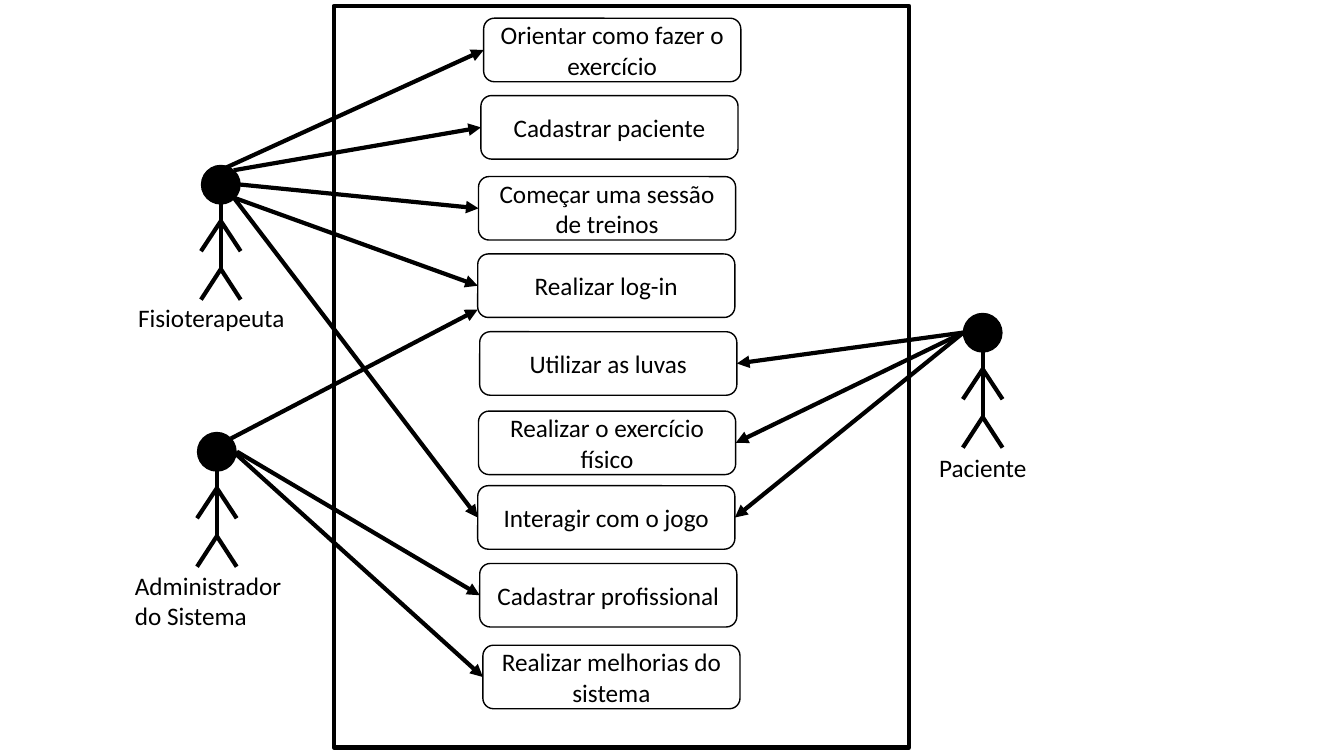
from lxml.etree import SubElement
from pptx import Presentation
from pptx.dml.color import RGBColor
from pptx.enum.shapes import MSO_CONNECTOR as Link, MSO_SHAPE as Preset
from pptx.enum.text import MSO_ANCHOR as Anchor, PP_ALIGN as Align
from pptx.oxml.ns import qn
from pptx.util import Cm, Pt

BLACK, WHITE = "000000", "FFFFFF"
FRAME = (8.41, 0.15, 14.5, 18.69)
CASE_SIZE = (6.48, 1.6)
USE_CASES = {
    "Orientar como fazer o exercício": (12.19, 0.46),
    "Cadastrar paciente": (12.12, 2.41),
    "Começar uma sessão de treinos": (12.06, 4.45),
    "Realizar log-in": (12.04, 6.4),
    "Utilizar as luvas": (12.09, 8.36),
    "Realizar o exercício físico": (12.06, 10.36),
    "Interagir com o jogo": (12.04, 12.24),
    "Cadastrar profissional": (12.09, 14.2),
    "Realizar melhorias do sistema": (12.17, 16.26),
}
HEAD = 0.97
LIMBS = [
    ((0, 0.97), (0, 2.61)),
    ((0, 2.61), (-0.5, 3.38)),
    ((0, 2.61), (0.5, 3.38)),
    ((0, 1.4), (-0.5, 2.16)),
    ((0, 1.4), (0.5, 2.16)),
]
ACTORS = [
    ("Paciente", (24.28, 7.9), (23.42, 11.28, 4.7, 1.02)),
    ("Fisioterapeuta", (5.08, 4.17), (3.23, 7.5, 4.7, 1.02)),
    ("Administrador do Sistema", (4.98, 10.9), (3.15, 14.25, 4.7, 1.8)),
]
LEFT_SIDE, RIGHT_SIDE = 1, 3
ASSOCIATIONS = [
    ((5.66, 4.24), "Orientar como fazer o exercício", LEFT_SIDE),
    ((5.89, 4.29), "Cadastrar paciente", LEFT_SIDE),
    ((6.05, 4.65), "Começar uma sessão de treinos", LEFT_SIDE),
    ((5.89, 4.98), "Realizar log-in", LEFT_SIDE),
    ((5.89, 4.98), "Interagir com o jogo", LEFT_SIDE),
    ((5.97, 11.38), "Cadastrar profissional", LEFT_SIDE),
    ((5.79, 11.3), "Realizar melhorias do sistema", LEFT_SIDE),
    ((24.28, 8.38), "Utilizar as luvas", RIGHT_SIDE),
    ((24.28, 8.38), "Realizar o exercício físico", RIGHT_SIDE),
    ((24.28, 8.38), "Interagir com o jogo", RIGHT_SIDE),
]
ADMIN_LOGIN = ((5.82, 11.05), (12.04, 7.8))
FONT = {"name": "Calibri", "size": Pt(18)}

deck = Presentation()
deck.slide_width, deck.slide_height = Cm(33.87), Cm(19.05)
canvas = deck.slides.add_slide(deck.slide_layouts[6]).shapes


def color(hex_value):
    return RGBColor.from_string(hex_value)


def add_outline(preset, box, fill, weight):
    outline = canvas.add_shape(preset, *map(Cm, box))
    outline.shadow.inherit = False
    outline.fill.solid()
    outline.fill.fore_color.rgb = color(fill)
    outline.line.color.rgb = color(BLACK)
    outline.line.width = Pt(weight)
    return outline


def write(holder, wording, align, anchor):
    frame = holder.text_frame
    frame.word_wrap = True
    frame.vertical_anchor = anchor
    paragraph = frame.paragraphs[0]
    paragraph.alignment = align
    run = paragraph.add_run()
    run.text = wording
    for attribute, value in FONT.items():
        setattr(run.font, attribute, value)
    run.font.color.rgb = color(BLACK)


def add_stroke(start, end, arrow=False):
    stroke = canvas.add_connector(Link.STRAIGHT, *map(Cm, (*start, *end)))
    stroke.line.color.rgb = color(BLACK)
    stroke.line.width = Pt(3)
    if arrow:
        SubElement(stroke.line._get_or_add_ln(), qn("a:tailEnd"), type="triangle")
    SubElement(stroke._element.spPr, qn("a:effectLst"))
    return stroke


add_outline(Preset.RECTANGLE, FRAME, WHITE, 3)

for role, (left, top), label_box in ACTORS:
    add_outline(Preset.OVAL, (left, top, HEAD, HEAD), BLACK, 1)
    axis = left + HEAD / 2
    for limb in LIMBS:
        add_stroke(*((axis + x, top + y) for x, y in limb))
    label = canvas.add_textbox(*map(Cm, label_box))
    write(label, role, Align.LEFT, Anchor.TOP)

cases = {}
for wording, corner in USE_CASES.items():
    cases[wording] = add_outline(Preset.ROUNDED_RECTANGLE, corner + CASE_SIZE, WHITE, 1)
    write(cases[wording], wording, Align.CENTER, Anchor.MIDDLE)

for start, wording, side in ASSOCIATIONS:
    add_stroke(start, USE_CASES[wording], arrow=True).end_connect(cases[wording], side)
add_stroke(*ADMIN_LOGIN, arrow=True)

deck.save("out.pptx")
